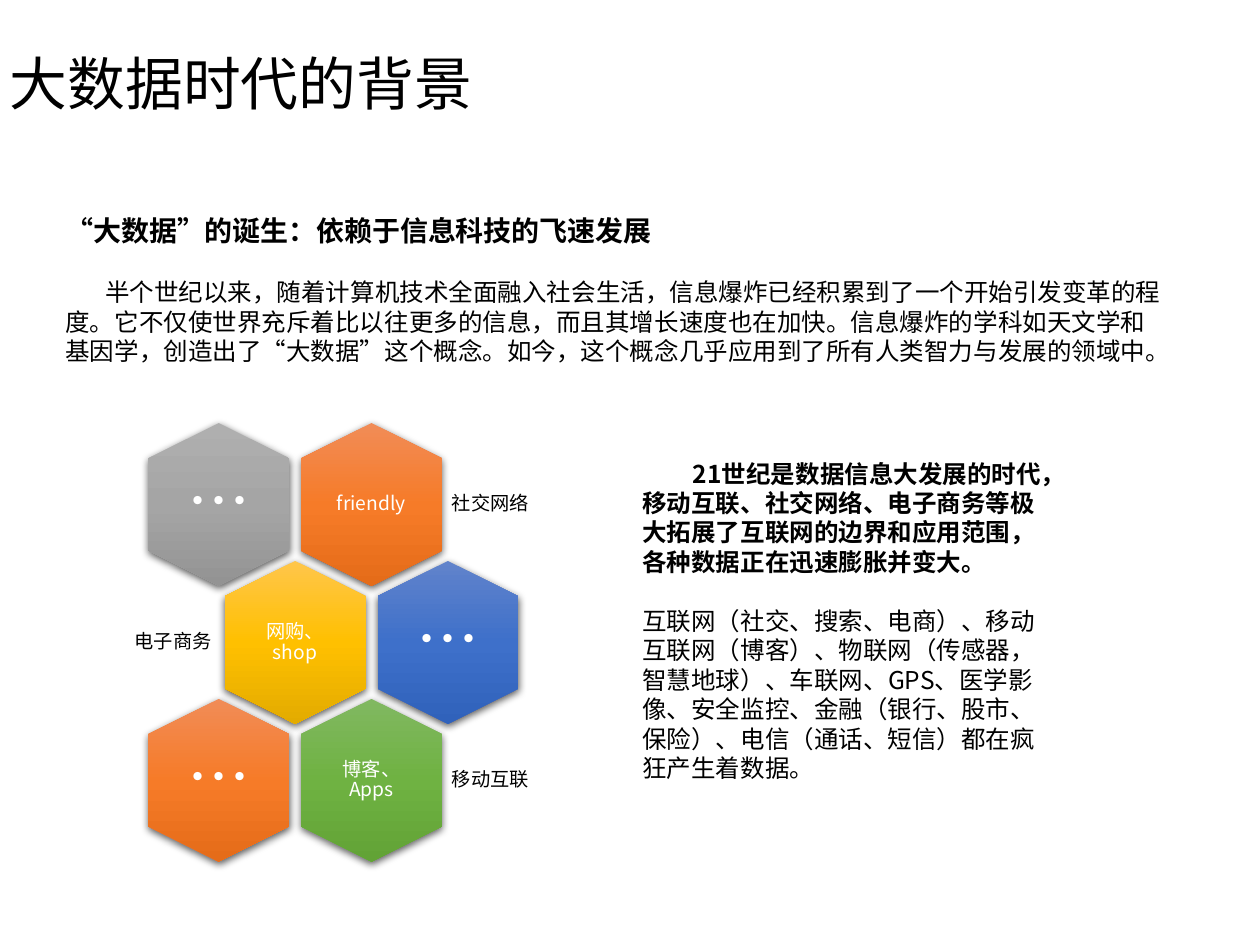
from lxml.etree import SubElement
from pptx import Presentation
from pptx.dml.color import RGBColor
from pptx.enum.shapes import MSO_SHAPE as Shape
from pptx.enum.text import MSO_ANCHOR as Anchor, PP_ALIGN as Align
from pptx.oxml.ns import qn
from pptx.util import Cm, Pt

BLACK, WHITE = "000000", "FFFFFF"
ORANGE = ("F18C57", "F67B28", "E56C19")
GRAY = ("AFAFAF", "A5A5A5", "939393")
GOLD = ("FFC64B", "FFC000", "E3AB00")
BLUE = ("6183CB", "3E70CA", "3062BB")
GREEN = ("81B861", "6FB242", "62A336")


def color(hex_code):
    return RGBColor.from_string(hex_code)


def add_node(parent, tag, **attributes):
    node = SubElement(parent, qn(tag))
    for key, value in attributes.items():
        node.set(key, str(value))
    return node


class SlideBuilder:
    font = "Noto Sans CJK SC"
    hexagon_size = (3.28, 2.84)
    caption_size = (1.96, 2.26)

    def __init__(self, slide):
        self.slide = slide

    def text(self, left, top, width, height, paragraphs, anchor=Anchor.TOP,
             align=Align.LEFT, inset=None, spacing=None, font=None, ink=BLACK):
        """Each paragraph is (text, size, bold, first-line indent, space before)."""
        box = self.slide.shapes.add_textbox(Cm(left), Cm(top), Cm(width), Cm(height))
        frame = box.text_frame
        frame.word_wrap = True
        frame.vertical_anchor = anchor
        if inset is not None:
            frame.margin_left = frame.margin_right = Cm(inset)
            frame.margin_top = frame.margin_bottom = Cm(inset)
        for index, (words, size, bold, indent, before) in enumerate(paragraphs):
            paragraph = frame.add_paragraph() if index else frame.paragraphs[0]
            paragraph.text = words
            paragraph.alignment = align
            if spacing:
                paragraph.line_spacing = spacing
            if before:
                paragraph.space_before = Pt(before)
            if indent:
                paragraph._p.get_or_add_pPr().set("indent", str(Cm(indent)))
            paragraph.font.name = font or self.font
            paragraph.font.size = Pt(size)
            paragraph.font.bold = bold
            paragraph.font.color.rgb = color(ink)

    def hexagon(self, center_x, center_y, shades):
        width, height = self.hexagon_size
        cell = self.slide.shapes.add_shape(
            Shape.HEXAGON, Cm(center_x - width / 2), Cm(center_y - height / 2),
            Cm(width), Cm(height))
        cell.rotation = 90
        cell.adjustments[0] = 0.25
        cell.line.fill.background()
        cell.shadow.inherit = False
        self.shade(cell, shades)
        effects = cell._element.spPr.find(qn("a:effectLst"))
        shadow = add_node(effects, "a:outerShdw", blurRad=Pt(4.5), dist=Pt(1.5),
                          dir=5400000, algn="ctr", rotWithShape=0)
        add_node(add_node(shadow, "a:srgbClr", val=BLACK), "a:alpha", val=63000)

    def shade(self, cell, shades):
        """Three-stop gradient running from top to bottom."""
        cell.fill.gradient()
        gradient = cell._element.spPr.find(qn("a:gradFill"))
        for child in list(gradient):
            gradient.remove(child)
        gradient.set("rotWithShape", "0")
        stops = add_node(gradient, "a:gsLst")
        for position, shade in zip((0, 50000, 100000), shades):
            add_node(add_node(stops, "a:gs", pos=position), "a:srgbClr", val=shade)
        add_node(gradient, "a:lin", ang=5400000, scaled=0)

    def caption(self, center_x, center_y, words):
        width, height = self.caption_size
        size, inset = (36, 0) if words == "…" else (11, 0.12)
        self.text(center_x - width / 2, center_y - height / 2, width, height,
                  [(words, size, False, 0, 0)], Anchor.MIDDLE, Align.CENTER,
                  inset, 0.9, ink=WHITE)

    def side_label(self, left, center_y, width, words, align):
        height = 1.96
        self.text(left, center_y - height / 2, width, height,
                  [(words, 11, False, 0, 0)], Anchor.MIDDLE, align, 0.12, 0.9)


def main():
    deck = Presentation()
    deck.slide_width, deck.slide_height = Cm(25.4), Cm(19.05)
    builder = SlideBuilder(deck.slides.add_slide(deck.slide_layouts[6]))

    # Honeycomb: the middle row is shifted by half a column
    first_x, first_y, column_gap, row_gap = 4.41, 10.17, 3.08, 2.78
    honeycomb = [
        [("…", GRAY), ("friendly", ORANGE)],
        [("网购、shop", GOLD), ("…", BLUE)],
        [("…", ORANGE), ("博客、Apps", GREEN)],
    ]
    side_labels = [
        (8.99, 3.66, "社交网络", Align.LEFT),
        (0.86, 3.53, "电子商务", Align.RIGHT),
        (8.99, 3.66, "移动互联", Align.LEFT),
    ]
    for row, (cells, label) in enumerate(zip(honeycomb, side_labels)):
        center_y = first_y + row * row_gap
        for column, (words, shades) in enumerate(cells):
            center_x = first_x + (column + row % 2 / 2) * column_gap
            builder.hexagon(center_x, center_y, shades)
            builder.caption(center_x, center_y, words)
        left, width, words, align = label
        builder.side_label(left, center_y, width, words, align)

    # Growth of data in the 21st century
    builder.text(12.7, 9.12, 8.81, 6.83, [
        ("21世纪是数据信息大发展的时代，移动互联、社交网络、电子商务等极大拓展了"
         "互联网的边界和应用范围，各种数据正在迅速膨胀并变大。", 14, True, 1.02, 0),
        ("互联网（社交、搜索、电商）、移动互联网（博客）、物联网（传感器，智慧地球）、"
         "车联网、GPS、医学影像、安全监控、金融（银行、股市、保险）、"
         "电信（通话、短信）都在疯狂产生着数据。", 14, False, 0, 17),
    ])

    # Birth of big data
    builder.text(1.07, 4.19, 22.63, 3.94, [
        ("“大数据”的诞生：依赖于信息科技的飞速发展", 16, True, 0, 0),
        ("半个世纪以来，随着计算机技术全面融入社会生活，信息爆炸已经积累到了一个"
         "开始引发变革的程度。它不仅使世界充斥着比以往更多的信息，而且其增长速度也在加快。"
         "信息爆炸的学科如天文学和基因学，创造出了“大数据”这个概念。如今，这个概念"
         "几乎应用到了所有人类智力与发展的领域中。", 14, False, 0.8, 17),
    ])

    # Title
    builder.text(-0.05, -0.1, 21.89, 3.68, [("大数据时代的背景", 33, False, 0, 0)],
                 Anchor.MIDDLE, spacing=0.9, font="Calibri")

    deck.save("out.pptx")


if __name__ == "__main__":
    main()
